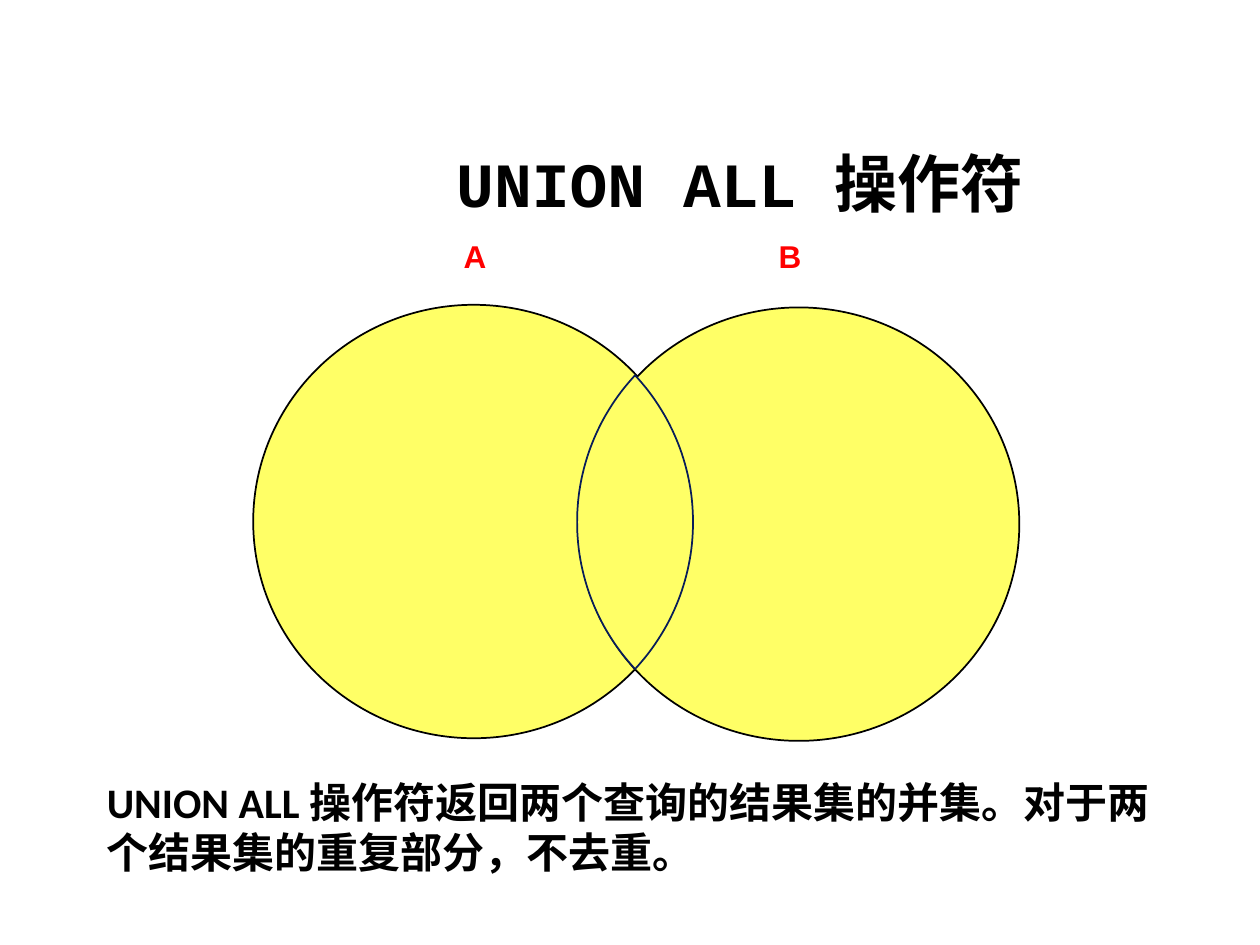
import math
import pptx
import pptx.dml.color
import pptx.enum.shapes
import pptx.enum.text
import pptx.util

Pt = pptx.util.Pt
Align = pptx.enum.text.PP_ALIGN
Anchor = pptx.enum.text.MSO_ANCHOR


def paint(shape, fill, line):
    shape.shadow.inherit = False
    shape.fill.solid()
    shape.fill.fore_color.rgb = pptx.dml.color.RGBColor.from_string(fill)
    shape.line.color.rgb = pptx.dml.color.RGBColor.from_string(line)
    shape.line.width = Pt(1)


def write(box, runs, color, size, align=Align.LEFT, anchor=Anchor.TOP, wrap=True):
    frame = slide.shapes.add_textbox(*map(Pt, box)).text_frame
    frame.word_wrap = wrap
    frame.vertical_anchor = anchor
    frame.paragraphs[0].alignment = align
    for text, font in runs:
        run = frame.paragraphs[0].add_run()
        run.text = text
        for name, value in {"name": font, "size": Pt(size), "bold": True}.items():
            setattr(run.font, name, value)
        run.font.color.rgb = pptx.dml.color.RGBColor.from_string(color)


deck = pptx.Presentation()
deck.slide_width, deck.slide_height = Pt(720), Pt(540)
slide = deck.slides.add_slide(deck.slide_layouts[6])

write((203.8, 76.3, 437.8, 55.4), [("UNION ALL ", "Courier New"), ("操作符", "Calibri")],
      "000000", 36, Align.CENTER, Anchor.MIDDLE)

for name, circle_left, circle_top, label_left in [("A", 144.7, 174.2, 257.8), ("B", 330.5, 175.7, 437.8)]:
    circle = slide.shapes.add_shape(pptx.enum.shapes.MSO_SHAPE.OVAL,
                                    Pt(circle_left), Pt(circle_top), Pt(252), Pt(247.7))
    paint(circle, "FFFF66", "000000")
    write((label_left, 131.8, 27.4, 28.8), [(name, "Arial")], "FF0000", 18, wrap=False)

middle_x, middle_y = 362.9, 298.4
radius_x, radius_y = 125.5, 124
tip_angle = 42.6
offset = radius_x * math.cos(math.radians(tip_angle))
outline = []
for side in (1, -1):
    for step in range(-30, 31):
        angle = math.radians(tip_angle * step / 30)
        outline.append((Pt(middle_x + side * (radius_x * math.cos(angle) - offset)),
                        Pt(middle_y + side * radius_y * math.sin(angle))))
builder = slide.shapes.build_freeform(*outline[0])
builder.add_line_segments(outline[1:], close=True)
paint(builder.convert_to_shape(), "FFFF66", "081D58")

write((54, 439.9, 623.5, 65.5),
      [("UNION ALL 操作符返回两个查询的结果集的并集。对于两个结果集的重复部分，不去重。", "Calibri")],
      "000000", 24)

deck.save("out.pptx")
